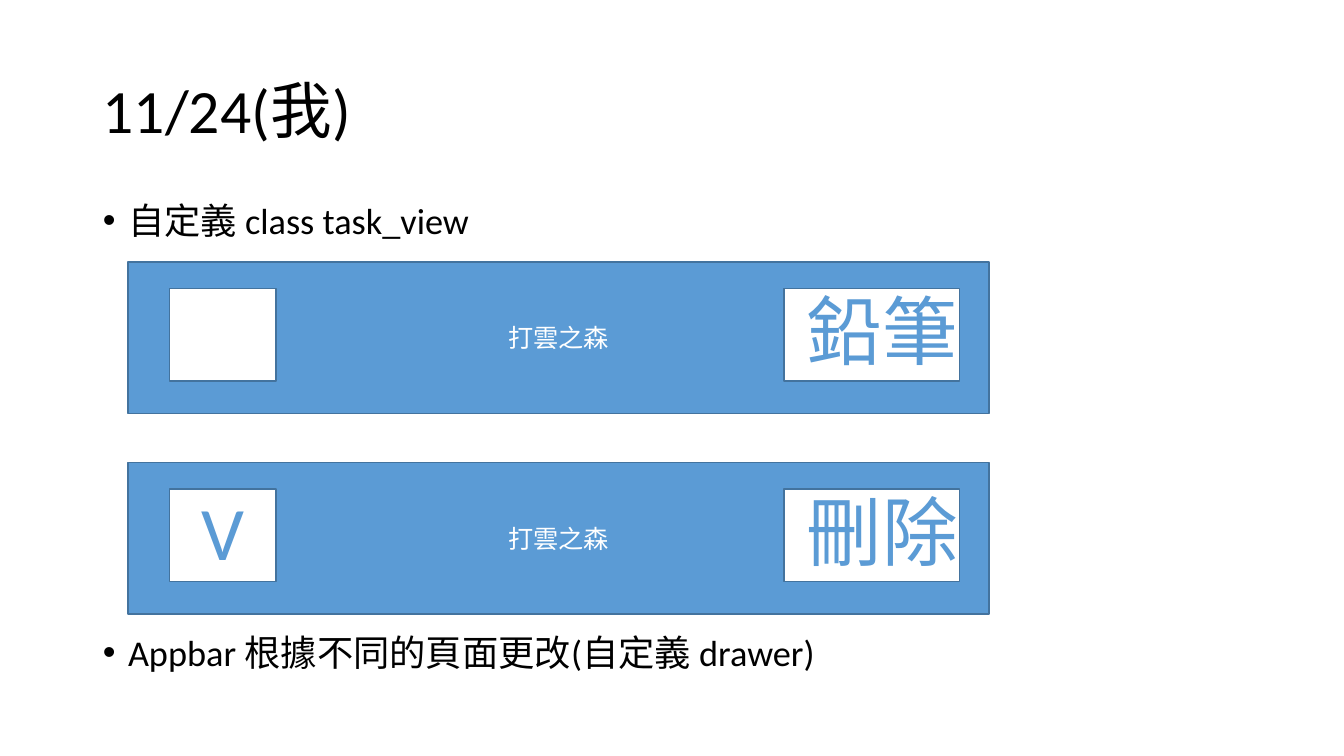
import pptx
import pptx.util
import pptx.dml.color
import pptx.enum.shapes
import pptx.enum.text

BLACK = pptx.dml.color.RGBColor(0x00, 0x00, 0x00)
WHITE = pptx.dml.color.RGBColor(0xFF, 0xFF, 0xFF)
BLUE = pptx.dml.color.RGBColor(0x5B, 0x9B, 0xD5)
DARK_BLUE = pptx.dml.color.RGBColor(0x43, 0x73, 0x9E)
ALIGN = pptx.enum.text.PP_ALIGN
ANCHOR = pptx.enum.text.MSO_ANCHOR

presentation = pptx.Presentation()
presentation.slide_width = pptx.util.Inches(13.33)
presentation.slide_height = pptx.util.Inches(7.5)
COLUMN = presentation.slide_width / 100
ROW = presentation.slide_height / 100
slide = presentation.slides.add_slide(presentation.slide_layouts[1])


def area(left, top, width, height):
    return int(left * COLUMN), int(top * ROW), int(width * COLUMN), int(height * ROW)


def format_text(paragraph, size, color, alignment):
    paragraph.alignment = alignment
    for run in paragraph.runs:
        run.font.name = "Calibri"
        run.font.size = pptx.util.Pt(size)
        run.font.color.rgb = color


title = slide.shapes.title
body = slide.placeholders[1]
title.text_frame.text = "11/24(我)"
body.text_frame.text = "自定義 class task_view\nAppbar 根據不同的頁面更改(自定義 drawer)"

for placeholder, top, height, anchor, size, spacing in (
    (title, 5.33, 19.33, ANCHOR.MIDDLE, 44, 0.9),
    (body, 26.67, 68.27, ANCHOR.TOP, 25.9, 0.8),
):
    placeholder.left, placeholder.top, placeholder.width, placeholder.height = area(6.9, top, 86.25, height)
    placeholder.text_frame.auto_size = pptx.enum.text.MSO_AUTO_SIZE.NONE
    placeholder.text_frame.vertical_anchor = anchor
    for paragraph in placeholder.text_frame.paragraphs:
        format_text(paragraph, size, BLACK, ALIGN.LEFT)
        paragraph.line_spacing = spacing

for paragraph, space_before in zip(body.text_frame.paragraphs, (10, 284)):
    paragraph.space_before = pptx.util.Pt(space_before)
    properties = paragraph._p.get_or_add_pPr()
    properties.set("marL", str(pptx.util.Inches(0.25)))
    properties.set("indent", str(pptx.util.Inches(-0.25)))

for task_index, (check_mark, action) in enumerate((("", "鉛筆"), ("V", "刪除"))):
    task_top = 34.67 + 26.53 * task_index
    for left, offset, width, height, fill, label in (
        (9.53, 0, 64.05, 20, BLUE, "打雲之森"),
        (12.6, 3.47, 7.95, 12.27, WHITE, ""),
        (58.35, 3.47, 13.05, 12.27, WHITE, ""),
    ):
        box = slide.shapes.add_shape(
            pptx.enum.shapes.MSO_SHAPE.RECTANGLE, *area(left, task_top + offset, width, height)
        )
        box.shadow.inherit = False
        box.fill.solid()
        box.fill.fore_color.rgb = fill
        box.line.color.rgb = DARK_BLUE
        box.line.width = pptx.util.Pt(1)
        if label:
            box.text_frame.text = label
            box.text_frame.vertical_anchor = ANCHOR.MIDDLE
            format_text(box.text_frame.paragraphs[0], 18, WHITE, ALIGN.CENTER)

    for left, width, label in ((14.25, 4.73, check_mark), (59.18, 12.9, action)):
        if label:
            caption = slide.shapes.add_textbox(*area(left, task_top + 2.27, width, 13.47))
            caption.text_frame.text = label
            caption.text_frame.word_wrap = False
            caption.text_frame.auto_size = pptx.enum.text.MSO_AUTO_SIZE.SHAPE_TO_FIT_TEXT
            format_text(caption.text_frame.paragraphs[0], 54, BLUE, ALIGN.CENTER)

presentation.save("out.pptx")
